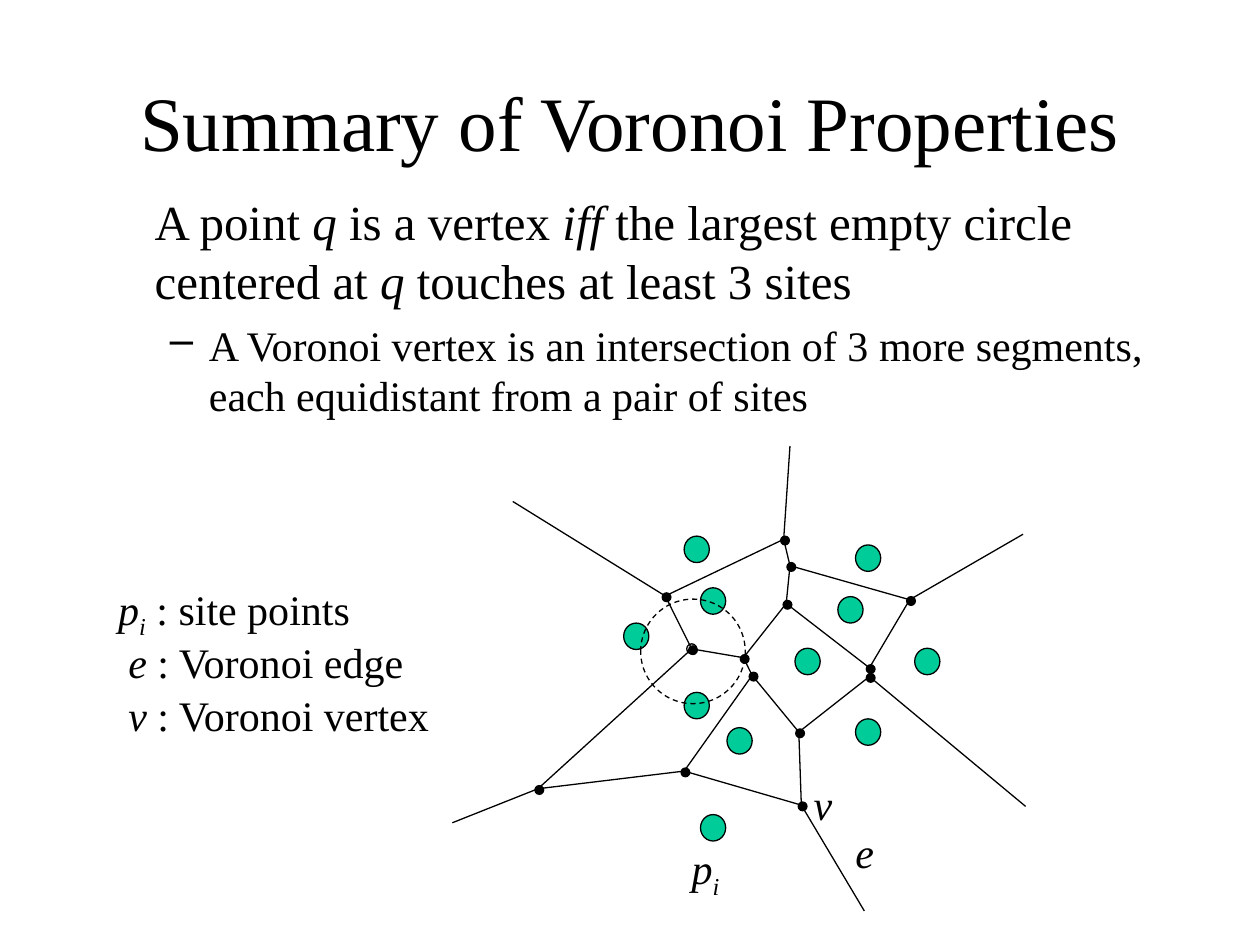
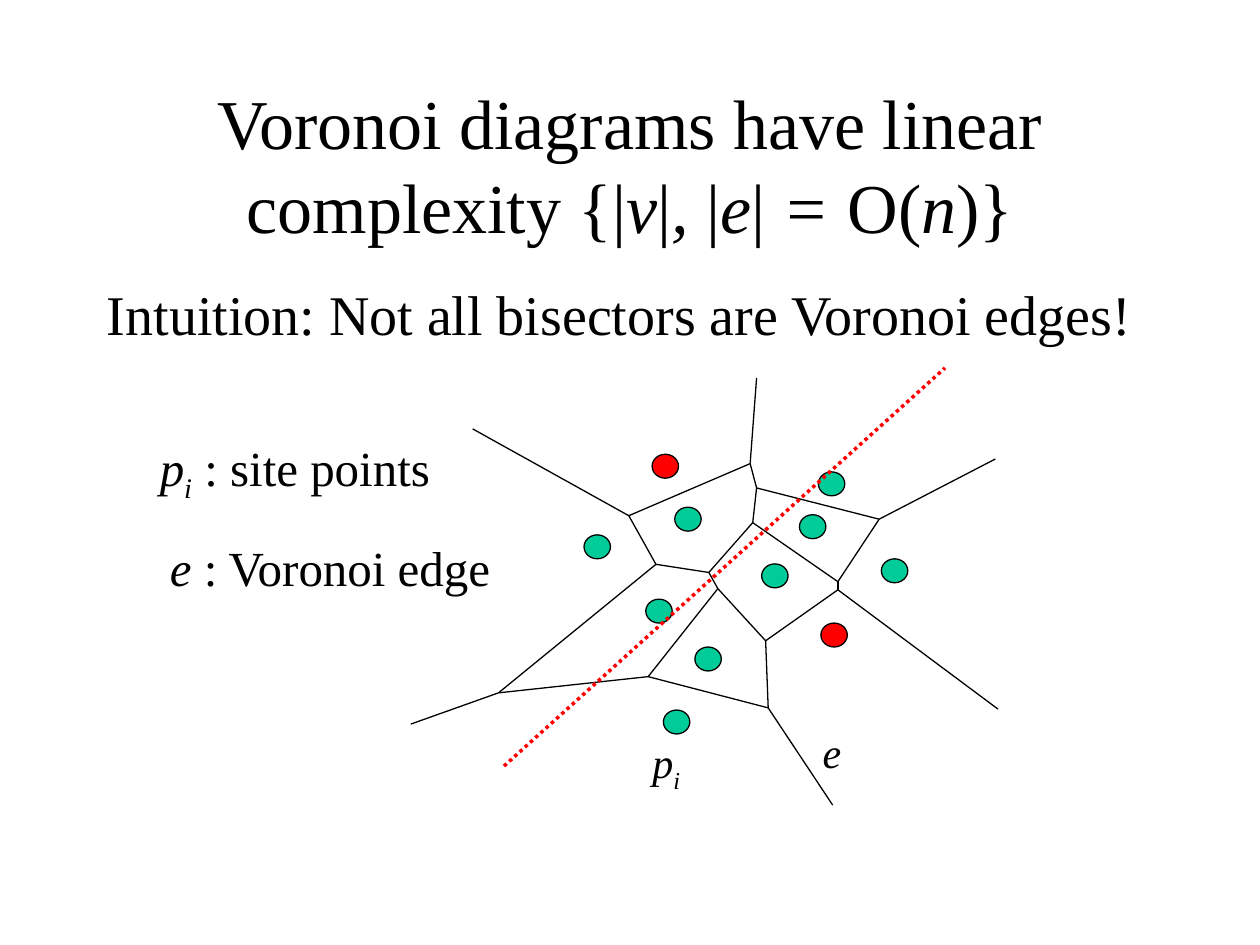
"""Build two slides on the properties and complexity of Voronoi diagrams."""
import lxml.etree
import pptx
import pptx.dml.color
import pptx.enum.dml
import pptx.enum.shapes
import pptx.enum.text
import pptx.oxml.ns
import pptx.util

Inches = pptx.util.Inches

COLOURS = {"ink": "000000", "site": "00CC99", "highlight": "FF0000"}
FONT = "Times New Roman"
STYLES = {
    "plain": {"italic": False},
    "italic": {"italic": True},
    "subscript": {"italic": True},
}
MARGINS = {
    "margin_left": Inches(0.1),
    "margin_right": Inches(0.1),
    "margin_top": Inches(0.05),
    "margin_bottom": Inches(0.05),
}

FRAME = (3.59, 3.54, 4.55, 3.69)
SMALL_FRAME = (3.26, 3, 4.66, 3.39)
VERTICES = {
    "upper left": (5.28, 4.73),
    "top": (6.22, 4.28),
    "below top": (6.27, 4.49),
    "right": (7.22, 4.76),
    "inner right": (6.9, 5.3),
    "lower right": (6.9, 5.37),
    "low": (6.34, 5.81),
    "bottom": (6.36, 6.39),
    "lower left": (5.43, 6.12),
    "far left": (4.27, 6.26),
    "left": (5.49, 5.15),
    "centre": (5.9, 5.22),
    "below centre": (5.97, 5.36),
    "above centre": (6.24, 4.79),
}
RAY_ENDS = {
    "northwest": (4.07, 3.98),
    "north": (6.27, 3.54),
    "northeast": (8.12, 4.24),
    "southeast": (8.14, 6.4),
    "south": (6.86, 7.23),
    "southwest": (3.59, 6.53),
}
EDGES = [
    ("northwest", "upper left"), ("upper left", "left"),
    ("left", "far left"), ("far left", "southwest"),
    ("far left", "lower left"), ("lower left", "below centre"),
    ("left", "centre"), ("centre", "below centre"),
    ("centre", "above centre"), ("above centre", "inner right"),
    ("below centre", "low"), ("lower left", "bottom"),
    ("bottom", "low"), ("low", "lower right"),
    ("lower right", "inner right"), ("above centre", "below top"),
    ("below top", "top"), ("upper left", "top"),
    ("bottom", "south"), ("lower right", "southeast"),
    ("below top", "right"), ("inner right", "right"),
    ("right", "northeast"), ("top", "north"),
]
SITES = [
    (5.66, 6.57), (5.87, 5.88), (6.41, 5.25), (6.89, 5.81), (7.36, 5.25),
    (6.75, 4.84), (6.89, 4.43), (5.53, 5.6), (5.05, 5.05), (5.66, 4.77),
    (5.53, 4.36),
]
SMALL_SITES = [
    (5.37, 5.73), (5.62, 5.23), (6.15, 4.57), (7.1, 4.53), (6.45, 4.18),
    (6.6, 3.84), (5.23, 4.85), (4.74, 4.34), (5.46, 4.12),
]
BISECTED_SITES = [(6.62, 5.04), (5.28, 3.7)]
SITE_NAME = [("p", "italic"), ("i", "subscript")]
EDGE_NAME = [("e", "italic")]
VERTEX_NAME = [("v", "italic")]


def rgb(colour):
    """Return the named colour."""
    return pptx.dml.color.RGBColor.from_string(COLOURS[colour])


def add_runs(paragraph, pieces, size):
    """Write (text, style) pieces into a paragraph."""
    for text, style in pieces:
        run = paragraph.add_run()
        run.text = text
        values = {"name": FONT, "size": pptx.util.Pt(size), "bold": False}
        for name, value in {**values, **STYLES[style]}.items():
            setattr(run.font, name, value)
        run.font.color.rgb = rgb("ink")
        if style == "subscript":
            run.font._element.set("baseline", "-25000")


def format_frame(frame, wrap=True, anchor="TOP"):
    """Set margins, wrapping and anchor of a text frame."""
    values = {
        **MARGINS,
        "word_wrap": wrap,
        "auto_size": pptx.enum.text.MSO_AUTO_SIZE.NONE,
        "vertical_anchor": getattr(pptx.enum.text.MSO_ANCHOR, anchor),
    }
    for name, value in values.items():
        setattr(frame, name, value)


def add_titled_slide(presentation, pieces, size, top):
    """Add a title-only slide with a centred title."""
    slide = presentation.slides.add_slide(presentation.slide_layouts[5])
    title = slide.shapes.title
    place = {"left": 0.75, "top": top, "width": 8.5, "height": 1.25}
    for name, value in place.items():
        setattr(title, name, Inches(value))
    format_frame(title.text_frame, anchor="MIDDLE")
    paragraph = title.text_frame.paragraphs[0]
    paragraph.alignment = pptx.enum.text.PP_ALIGN.CENTER
    add_runs(paragraph, pieces, size)
    return slide


def add_text(slide, box, pieces, size=24, wrap=False):
    """Add a text box of one paragraph and return its frame."""
    shape = slide.shapes.add_textbox(*map(Inches, box))
    format_frame(shape.text_frame, wrap)
    add_runs(shape.text_frame.paragraphs[0], pieces, size)
    return shape.text_frame


def indent(paragraph, left, first=0, bullet=None):
    """Indent a paragraph and give it an optional bullet."""
    properties = paragraph._p.get_or_add_pPr()
    properties.set("marL", str(Inches(left)))
    properties.set("indent", str(Inches(first)))
    if bullet:
        tag = pptx.oxml.ns.qn("a:buChar")
        lxml.etree.SubElement(properties, tag).set("char", bullet)


def add_line(slide, start, end, colour="ink", width=0.75, dash=None):
    """Draw a straight line between two points."""
    straight = pptx.enum.shapes.MSO_CONNECTOR.STRAIGHT
    line = slide.shapes.add_connector(straight, *map(Inches, start + end))
    line.line.color.rgb = rgb(colour)
    line.line.width = pptx.util.Pt(width)
    if dash:
        line.line.dash_style = dash
    tag = pptx.oxml.ns.qn("a:effectLst")
    lxml.etree.SubElement(line._element.spPr, tag)


def add_circle(slide, centre, width, height, fill=None, outline=True, dash=None):
    """Draw an ellipse around a centre."""
    left, top = centre[0] - width / 2, centre[1] - height / 2
    oval = pptx.enum.shapes.MSO_SHAPE.OVAL
    circle = slide.shapes.add_shape(oval, *map(Inches, (left, top, width, height)))
    circle.shadow.inherit = False
    if fill:
        circle.fill.solid()
        circle.fill.fore_color.rgb = rgb(fill)
    else:
        circle.fill.background()
    if outline:
        circle.line.color.rgb = rgb("ink")
        circle.line.width = pptx.util.Pt(0.75)
    else:
        circle.line.fill.background()
    if dash:
        circle.line.dash_style = dash


def add_edges(slide, frame):
    """Draw the Voronoi edges scaled into a frame."""
    left, top, width, height = frame
    points = {
        name: (
            left + (x - FRAME[0]) * width / FRAME[2],
            top + (y - FRAME[1]) * height / FRAME[3],
        )
        for name, (x, y) in {**VERTICES, **RAY_ENDS}.items()
    }
    for start, end in EDGES:
        add_line(slide, points[start], points[end])


def add_sites(slide, centres, width, height, fill="site"):
    """Draw the site points."""
    for centre in centres:
        add_circle(slide, centre, width, height, fill)


def build_properties(presentation):
    """Build the slide on vertices and empty circles."""
    title = [("Summary of Voronoi Properties", "plain")]
    slide = add_titled_slide(presentation, title, 44, 0.33)
    statement = [
        ("A point ", "plain"), ("q", "italic"), (" is a vertex ", "plain"),
        ("iff", "italic"), (" the largest empty circle centered at ", "plain"),
        ("q", "italic"), (" touches at least 3 sites", "plain"),
    ]
    body = add_text(slide, (0.75, 1.47, 8.5, 2), statement, 28, True)
    indent(body.paragraphs[0], 0.38)
    detail = body.add_paragraph()
    indent(detail, 0.81, -0.31, "–")
    detail.space_before = pptx.util.Pt(6)
    add_runs(detail, [(
        "A Voronoi vertex is an intersection of 3 more segments, "
        "each equidistant from a pair of sites", "plain",
    )], 24)

    add_edges(slide, FRAME)
    for x, y in VERTICES.values():
        add_circle(slide, (x + 0.01, y + 0.01), 0.08, 0.08, "ink", False)
    add_sites(slide, SITES, 0.2, 0.21)
    add_circle(slide, VERTICES["left"], 0.08, 0.08)
    add_circle(slide, (5.5, 5.17), 0.83, 0.83, dash=pptx.enum.dml.MSO_LINE.DASH)

    add_text(slide, (6.69, 6.51, 0.35, 0.5), EDGE_NAME)
    add_text(slide, (6.36, 6.13, 0.35, 0.5), VERTEX_NAME)
    add_text(slide, (5.39, 6.64, 0.42, 0.56), SITE_NAME)
    add_text(slide, (0.84, 4.58, 2.04, 0.56), SITE_NAME + [(" : site points", "plain")])
    add_text(slide, (0.92, 5, 2.43, 0.5), EDGE_NAME + [(" : Voronoi edge", "plain")])
    add_text(slide, (0.92, 5.42, 2.85, 0.5), VERTEX_NAME + [(" : Voronoi vertex", "plain")])


def build_complexity(presentation):
    """Build the slide on linear complexity."""
    title = [
        ("Voronoi diagrams have linear complexity {|", "plain"),
        ("v", "italic"), ("|", "plain"), (", ", "italic"), ("|", "plain"),
        ("e", "italic"), ("|", "plain"), (" = ", "italic"), ("O(", "plain"),
        ("n", "italic"), (")}", "plain"),
    ]
    slide = add_titled_slide(presentation, title, 40, 0.67)
    intuition = [("Intuition: Not all bisectors are Voronoi edges!", "plain")]
    add_text(slide, (0.75, 2.17, 8.5, 0.7), intuition, 32, True)

    add_edges(slide, SMALL_FRAME)
    add_sites(slide, SMALL_SITES, 0.21, 0.19)
    add_sites(slide, BISECTED_SITES, 0.21, 0.19, "highlight")

    add_text(slide, (6.43, 5.72, 0.35, 0.5), EDGE_NAME)
    add_text(slide, (5.08, 5.8, 0.42, 0.56), SITE_NAME)
    add_text(slide, (1.17, 3.42, 2.34, 0.63), SITE_NAME + [(" : site points", "plain")], 28)
    add_text(slide, (1.25, 4.22, 2.8, 0.57), EDGE_NAME + [(" : Voronoi edge", "plain")], 28)
    dots = pptx.enum.dml.MSO_LINE.ROUND_DOT
    add_line(slide, (4, 6.08), (7.5, 2.92), "highlight", 2, dots)


def main():
    """Build and save the presentation."""
    presentation = pptx.Presentation()
    presentation.slide_width = Inches(10)
    presentation.slide_height = Inches(7.5)
    build_properties(presentation)
    build_complexity(presentation)
    presentation.save("out.pptx")


if __name__ == "__main__":
    main()
